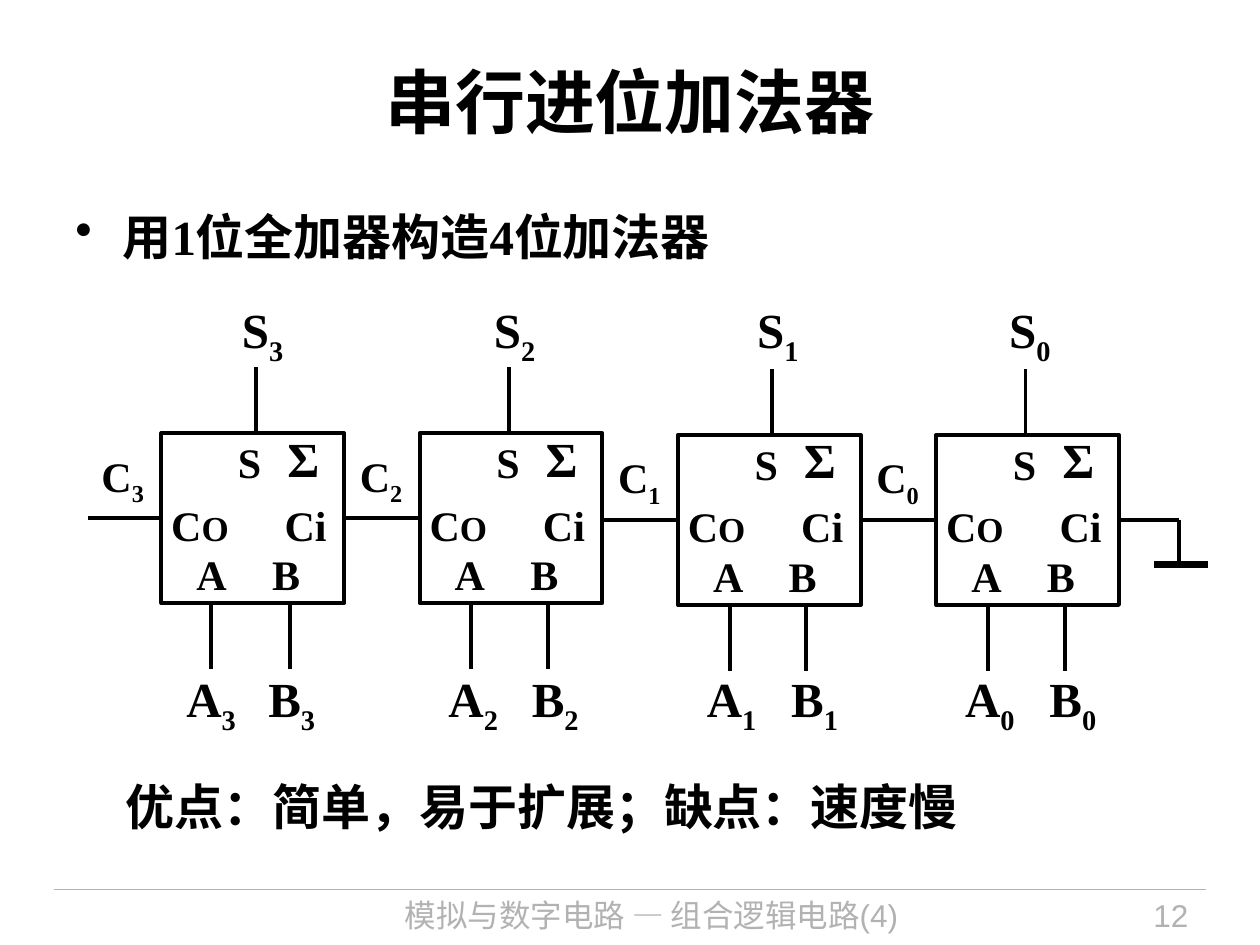
import pptx
import pptx.util
import pptx.dml.color
import pptx.enum.shapes
import pptx.enum.text
import lxml.etree

Pt = pptx.util.Pt
ALIGN = pptx.enum.text.PP_ALIGN
ANCHOR = pptx.enum.text.MSO_ANCHOR

THEME = {
    "ink": "000000", "pale": "B2B2B2",
    "serif": "Times New Roman", "sans": "Arial",
    "title": 40, "body": 28, "pin": 24, "small": 20, "foot": 18,
    "wire": 2.25, "ground": 4.5, "rule": 0.75,
}

TITLE = "串行进位加法器"
POINT = "用1位全加器构造4位加法器"
NOTE = "优点：简单，易于扩展；缺点：速度慢"
FOOT = "模拟与数字电路 — 组合逻辑电路(4)"
PAGE = "12"

# Bit, box top, then x offsets in the box: S label, S wire, A label, A wire, B label
CELLS = [
    ("3", 247.5, 38.9, 54, 7.2, 28.2, 54),
    ("2", 247.5, 35.3, 51, 9.4, 29.6, 57),
    ("1", 248.5, 38.2, 54, 9.4, 30, 57.6),
    ("0", 248.5, 34.6, 51, 9.4, 29.6, 57.6),
]
# Runs, x and y in the box, width
PINS = [
    ([("A", "pin")], 13, 62.3, 31.7),
    ([("B", "pin")], 56.2, 62.3, 30.2),
    ([("S", "pin")], 36.7, -1.4, 28.1),
    ([("Ci", "pin")], 63.4, 34.2, 38.2),
    ([("C", "pin"), ("O", "small")], -1.4, 34.2, 47.5),
]
LEFT, PITCH, WIDE, HIGH = 92.2, 147.6, 104.4, 97.2
STUB, CARRY, LEAD, B_WIRE = 37.5, 48.6, 42, 73.4

deck = pptx.Presentation()
deck.slide_width, deck.slide_height = Pt(720), Pt(540)
slide = deck.slides.add_slide(deck.slide_layouts[6])
shapes = slide.shapes


def color(name):
    return pptx.dml.color.RGBColor.from_string(THEME[name])


def line(x1, y1, x2, y2, width="wire", ink="ink"):
    wire = shapes.add_connector(pptx.enum.shapes.MSO_CONNECTOR.STRAIGHT,
                                Pt(x1), Pt(y1), Pt(x2), Pt(y2))
    wire.line.color.rgb = color(ink)
    wire.line.width = Pt(THEME[width])
    lxml.etree.SubElement(wire._element.spPr, pptx.oxml.ns.qn("a:effectLst"))


def text(runs, x, y, w, h, font="serif", ink="ink", bold=True,
         align=ALIGN.LEFT, anchor=ANCHOR.TOP, wrap=False, tight=False, bullet=False):
    """Add a one-line box; runs hold (words, size name) or (words, size name, baseline)."""
    box = shapes.add_textbox(Pt(x), Pt(y), Pt(w), Pt(h))
    frame = box.text_frame
    frame.word_wrap = wrap
    frame.vertical_anchor = anchor
    if not wrap:
        frame.auto_size = pptx.enum.text.MSO_AUTO_SIZE.SHAPE_TO_FIT_TEXT
    if tight:
        frame.margin_left = frame.margin_right = 0
        frame.margin_top = frame.margin_bottom = 0
    para = frame.paragraphs[0]
    para.alignment = align
    if bullet:
        props = para._p.get_or_add_pPr()
        props.set("marL", str(Pt(27)))
        props.set("indent", str(Pt(-27)))
        mark = lxml.etree.SubElement(props, pptx.oxml.ns.qn("a:buChar"))
        mark.set("char", "•")
    for words, size, *base in runs:
        run = para.add_run()
        run.text = words
        run.font.name = THEME[font]
        run.font.size = Pt(THEME[size])
        run.font.bold = bold
        run.font.color.rgb = color(ink)
        if base:
            run._r.get_or_add_rPr().set("baseline", str(base[0]))


def label(name, bit, x, y, w):
    text([(name, "body"), (bit, "body", -25000)], x, y, w, 41)


def cell(x, bit, top, s_text, s_wire, a_text, a_wire, b_text):
    """Draw one full adder with its wires and outer labels."""
    base = top + HIGH
    line(x + s_wire, top - STUB, x + s_wire, top)
    for dx in (a_wire, B_WIRE):
        line(x + dx, base, x + dx, base + STUB)
    label("S", bit, x + s_text, 167.8, 39.6)
    label("A", bit, x + a_text, 378.7, 43.9)
    label("B", bit, x + b_text, 378.7, 42.5)

    box = shapes.add_shape(pptx.enum.shapes.MSO_SHAPE.RECTANGLE,
                           Pt(x), Pt(top), Pt(WIDE), Pt(HIGH))
    box.shadow.inherit = False
    box.fill.background()
    box.line.color.rgb = color("ink")
    box.line.width = Pt(THEME["wire"])

    for runs, dx, dy, w in PINS:
        text(runs, x + dx, top + dy, w, 36)
    text([("Σ", "body")], x + 72, top - 2.9, 28.1, 33.8,
         anchor=ANCHOR.MIDDLE, tight=True)
    line(x - LEAD, top + CARRY, x, top + CARRY)
    text([("C", "pin"), (bit, "pin", -25000)], x - 34.2, top + 11.7, 25.2, 28.8,
         anchor=ANCHOR.MIDDLE, tight=True)


line(31, 508.3, 689, 508.3, "rule", "pale")
text([(FOOT, "foot")], 179.3, 508.3, 385.9, 31.7, "sans", "pale", False,
     ALIGN.CENTER, wrap=True)
text([(PAGE, "foot")], 590.4, 508.3, 95.8, 31.7, "sans", "pale", False,
     ALIGN.RIGHT, wrap=True)
text([(TITLE, "title")], 36, 12.2, 648, 90, "sans",
     align=ALIGN.CENTER, anchor=ANCHOR.MIDDLE, wrap=True)
text([(POINT, "body")], 36, 114.5, 648, 56.2, wrap=True, bullet=True)

for i, data in enumerate(CELLS):
    cell(LEFT + i * PITCH, *data)

end, level = 673.9, CELLS[-1][1] + CARRY
line(LEFT + 3 * PITCH + WIDE, level, end, level)
line(end, level, end, 322.6)
line(659.5, 322.6, 690.5, 322.6, "ground")

text([(NOTE, "body")], 64.8, 439.9, 555.8, 41, "sans", wrap=True)

deck.save("out.pptx")
